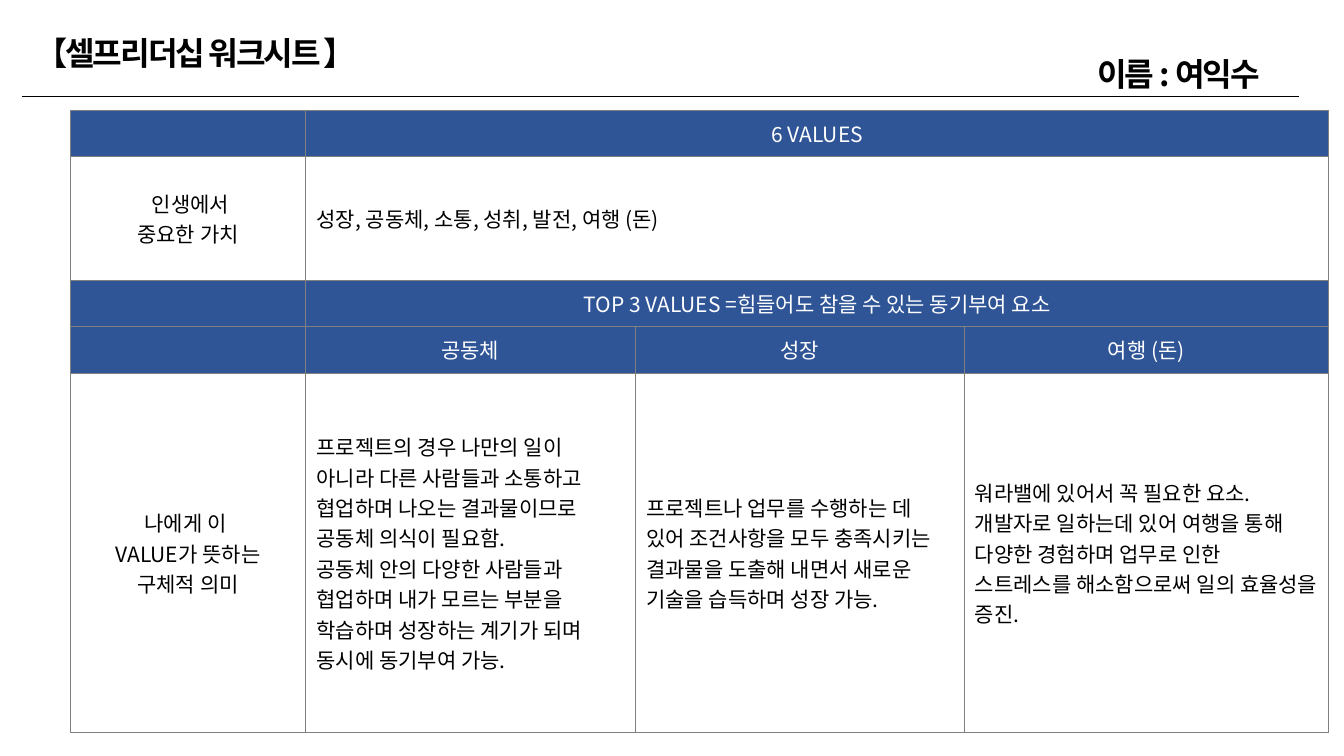
from dataclasses import dataclass

from lxml import etree
from pptx import Presentation
from pptx.dml.color import RGBColor
from pptx.enum.shapes import MSO_CONNECTOR
from pptx.enum.text import MSO_ANCHOR, PP_ALIGN
from pptx.oxml.ns import qn
from pptx.util import Inches, Pt

LEFT, MID, RIGHT = PP_ALIGN.LEFT, PP_ALIGN.CENTER, PP_ALIGN.RIGHT
CENTRE, BOTTOM = MSO_ANCHOR.MIDDLE, MSO_ANCHOR.BOTTOM
STRAIGHT = MSO_CONNECTOR.STRAIGHT
FONT = "Noto Sans CJK KR"
BLACK, WHITE, BLUE, GREY = "000000", "FFFFFF", "2F5597", "808080"
COLS = (2.33, 3.27, 3.26, 3.62)
ROWS = (0.46, 1.23, 0.46, 0.46, 3.57)
HEADS = (0, 2, 3)


@dataclass(frozen=True)
class Item:
    """Text of one table cell, by row and column."""
    row: int
    col: int
    lines: tuple[str, ...]
    align: PP_ALIGN = MID
    span: int = 1


ITEMS = (
    Item(0, 1, ("6 VALUES",), span=3),
    Item(1, 0, (" 인생에서", "중요한 가치")),
    Item(1, 1, ("성장, 공동체, 소통, 성취, 발전, 여행 (돈)",), LEFT, 3),
    Item(2, 1, ("TOP 3 VALUES =힘들어도 참을 수 있는 동기부여 요소",), span=3),
    Item(3, 1, ("공동체",)),
    Item(3, 2, ("성장",)),
    Item(3, 3, ("여행 (돈)",)),
    Item(4, 0, ("나에게 이 ", "VALUE가 뜻하는", "구체적 의미")),
    Item(4, 1, (
        "프로젝트의 경우 나만의 일이 아니라 다른 사람들과 소통하고 "
        "협업하며 나오는 결과물이므로 공동체 의식이 필요함.",
        "공동체 안의 다양한 사람들과 협업하며 내가 모르는 부분을 "
        "학습하며 성장하는 계기가 되며 동시에 동기부여 가능."), LEFT),
    Item(4, 2, (
        "프로젝트나 업무를 수행하는 데 있어 조건사항을 모두 충족시키는 "
        "결과물을 도출해 내면서 새로운 기술을 습득하며 성장 가능.",), LEFT),
    Item(4, 3, (
        "워라밸에 있어서 꼭 필요한 요소.",
        "개발자로 일하는데 있어 여행을 통해 다양한 경험하며 업무로 인한 "
        "스트레스를 해소함으로써 일의 효율성을 증진."), LEFT),
)


def paint(fill, tone: str) -> None:
    """Give a fill one solid colour."""
    fill.solid()
    fill.fore_color.rgb = RGBColor.from_string(tone)


def style(para, size: float, tone: str, align: PP_ALIGN, bold: bool = False):
    """Set a paragraph's font and alignment; return its font element."""
    para.alignment = align
    font = para.font
    font.size, font.bold, font.name = Pt(size), bold, FONT
    paint(font.fill, tone)
    base = para._p.pPr.find(qn("a:defRPr"))
    etree.SubElement(base, qn("a:ea"), typeface=FONT)
    return base


def label(box, text: str, at: tuple, align: PP_ALIGN, anchor, low: float) -> None:
    """Place and format one of the two bold labels above the rule."""
    box.left, box.top, box.width, box.height = map(Inches, at)
    frame = box.text_frame
    frame.word_wrap, frame.vertical_anchor = True, anchor
    frame.margin_left = frame.margin_right = Inches(0.07)
    frame.margin_top, frame.margin_bottom = Inches(0.04), Inches(low)
    frame.text = text
    para = frame.paragraphs[0]
    para.line_spacing = 0.9
    style(para, 23, BLACK, align, True).set("spc", "-150")


def edge(cell) -> None:
    """Draw thin grey borders; they go ahead of the cell's fill."""
    props = cell._tc.get_or_add_tcPr()
    for i, side in enumerate(("lnL", "lnR", "lnT", "lnB")):
        line = etree.Element(qn(f"a:{side}"), w=str(Pt(0.5)))
        solid = etree.SubElement(line, qn("a:solidFill"))
        etree.SubElement(solid, qn("a:srgbClr"), val=GREY)
        props.insert(i, line)


def write(table, item: Item) -> None:
    """Fill a cell with its text, merging across its span."""
    cell = table.cell(item.row, item.col)
    if item.span > 1:
        cell.merge(table.cell(item.row, item.col + item.span - 1))
    cell.text = "\n".join(item.lines)
    tone = WHITE if item.row in HEADS else BLACK
    for para in cell.text_frame.paragraphs:
        style(para, 15, tone, item.align)


def grid(slide) -> None:
    """Build the values table."""
    table = slide.shapes.add_table(
        len(ROWS), len(COLS), Inches(0.7), Inches(1.09),
        Inches(sum(COLS)), Inches(sum(ROWS))).table
    table.first_row = table.horz_banding = False
    for parts, sizes, name in ((table.columns, COLS, "width"),
                               (table.rows, ROWS, "height")):
        for part, size in zip(parts, sizes):
            setattr(part, name, Inches(size))
    for r in range(len(ROWS)):
        for c in range(len(COLS)):
            cell = table.cell(r, c)
            paint(cell.fill, BLUE if r in HEADS else WHITE)
            edge(cell)
            cell.vertical_anchor = CENTRE
            cell.margin_left = cell.margin_right = Inches(0.11)
            cell.margin_top = cell.margin_bottom = Inches(0.05)
    for item in ITEMS:
        write(table, item)


def rule(slide) -> None:
    """Draw the thin line under the heading."""
    y = Inches(0.96)
    line = slide.shapes.add_connector(STRAIGHT, Inches(0.22), y, Inches(12.88), y)
    line.line.width = Pt(0.5)
    paint(line.line.fill, BLACK)
    etree.SubElement(line._element.spPr, qn("a:effectLst"))


def main() -> None:
    """Build and save the worksheet slide."""
    deck = Presentation()
    deck.slide_width, deck.slide_height = Inches(13.33), Inches(7.5)
    slide = deck.slides.add_slide(deck.slide_layouts[5])
    rule(slide)
    name = slide.shapes.add_textbox(0, 0, 0, 0)
    label(name, "이름 : 여익수 ", (7.47, 0.15, 5.15, 0.8), RIGHT, BOTTOM, 0.02)
    grid(slide)
    label(slide.shapes.title, "【셀프리더십 워크시트 】",
          (0.28, 0.15, 11.74, 0.8), LEFT, CENTRE, 0.04)
    deck.save("out.pptx")


main()
